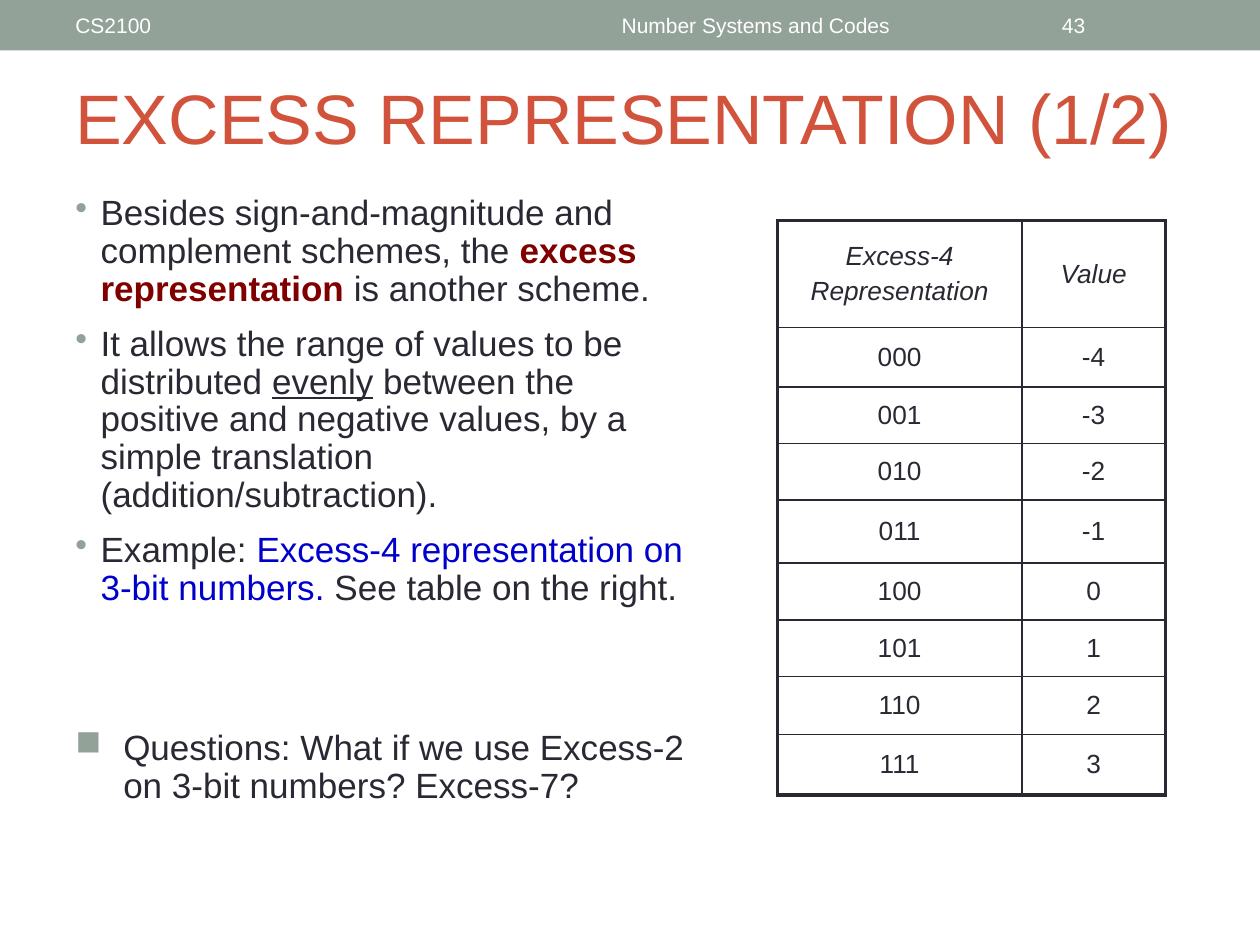
import pptx
import pptx.util
import pptx.dml.color
import pptx.enum.shapes
import pptx.enum.text
import pptx.oxml
import pptx.oxml.ns

Inches = pptx.util.Inches
Pt = pptx.util.Pt
RGBColor = pptx.dml.color.RGBColor
MIDDLE = pptx.enum.text.MSO_ANCHOR.MIDDLE
TOP = pptx.enum.text.MSO_ANCHOR.TOP
LEFT = pptx.enum.text.PP_ALIGN.LEFT
CENTER = pptx.enum.text.PP_ALIGN.CENTER

SAGE = RGBColor(0x93, 0xA2, 0x99)
WHITE = RGBColor(0xFF, 0xFF, 0xFF)
RUST = RGBColor(0xD2, 0x53, 0x3C)
INK = RGBColor(0x29, 0x29, 0x34)
MAROON = RGBColor(0x80, 0x00, 0x00)
BLUE = RGBColor(0x00, 0x00, 0xCC)


def add_span(para, text, size, color, bold=None, italic=None, underline=None):
    span = para.add_run()
    span.text = text
    span.font.name = "Arial"
    span.font.size = Pt(size)
    span.font.color.rgb = color
    span.font.bold = bold
    span.font.italic = italic
    span.font.underline = underline


def add_frame(page, left, top, width, height, anchor):
    box = page.shapes.add_textbox(Inches(left), Inches(top), Inches(width), Inches(height))
    box.text_frame.word_wrap = True
    box.text_frame.vertical_anchor = anchor
    return box.text_frame


deck = pptx.Presentation()
deck.slide_width = Inches(10)
deck.slide_height = Inches(7.5)
page = deck.slides.add_slide(deck.slide_layouts[6])

banner = page.shapes.add_shape(
    pptx.enum.shapes.MSO_SHAPE.RECTANGLE, 0, 0, Inches(10), Inches(0.4))
banner.shadow.inherit = False
banner.fill.solid()
banner.fill.fore_color.rgb = SAGE
banner.line.fill.background()

lines = [
    (0.5, 0.02, 3.17, 0.36, LEFT, "CS2100", 12, WHITE),
    (3.75, 0.02, 4.5, 0.36, CENTER, "Number Systems and Codes", 12, WHITE),
    (8.33, 0.02, 1.17, 0.36, LEFT, "43", 12, WHITE),
    (0.5, 0.3, 9, 1.25, LEFT, "EXCESS REPRESENTATION (1/2)", 40, RUST),
]
for left, top, width, height, align, text, size, color in lines:
    para = add_frame(page, left, top, width, height, MIDDLE).paragraphs[0]
    para.alignment = align
    add_span(para, text, size, color)

points = [
    [("Besides sign-and-magnitude and complement schemes, the ", INK, None, None),
     ("excess representation", MAROON, True, None),
     (" is another scheme.", INK, None, None)],
    [("It allows the range of values to be distributed ", INK, None, None),
     ("evenly", INK, None, True),
     (" between the positive and negative values, by a simple translation "
      "(addition/subtraction).", INK, None, None)],
    [("Example: ", INK, None, None),
     ("Excess-4 representation on 3-bit numbers. ", BLUE, None, None),
     ("See table on the right.", INK, None, None)],
]
question = [[("Questions: What if we use Excess-2 on 3-bit numbers? Excess-7?",
              INK, None, None)]]
lists = [(1.5, 4.17, "•", 0.2, points), (5.75, 0.81, "■", 0.38, question)]
for top, height, bullet, indent, items in lists:
    frame = add_frame(page, 0.5, top, 5.08, height, TOP)
    for index, item in enumerate(items):
        para = frame.add_paragraph() if index else frame.paragraphs[0]
        para.line_spacing = 0.9
        if index:
            para.space_before = Pt(10)
        props = para._p.get_or_add_pPr()
        props.set("marL", str(Inches(indent)))
        props.set("indent", str(-Inches(indent)))
        color = pptx.oxml.parse_xml(
            f'<a:buClr {pptx.oxml.ns.nsdecls("a")}><a:srgbClr val="{SAGE}"/></a:buClr>')
        mark = pptx.oxml.parse_xml(
            f'<a:buChar {pptx.oxml.ns.nsdecls("a")} char="{bullet}"/>')
        props.extend([color, mark])
        for text, ink, bold, underline in item:
            add_span(para, text, 20, ink, bold=bold, underline=underline)

rows = [(["Excess-4", "Representation"], ["Value"])]
rows += [([f"{code:03b}"], [str(code - 4)]) for code in range(8)]
row_heights = [0.85, 0.47, 0.45, 0.45, 0.5, 0.45, 0.45, 0.46, 0.48]
column_widths = [1.94, 1.14]
table = page.shapes.add_table(
    len(rows), 2, Inches(6.17), Inches(1.75),
    Inches(sum(column_widths)), Inches(sum(row_heights))).table
table.first_row = False
table.horz_banding = False
for column, width in zip(table.columns, column_widths):
    column.width = Inches(width)
for row_index, (row, height) in enumerate(zip(rows, row_heights)):
    table.rows[row_index].height = Inches(height)
    for column_index, texts in enumerate(row):
        cell = table.cell(row_index, column_index)
        cell.vertical_anchor = MIDDLE
        cell.margin_left = cell.margin_right = Inches(0.1)
        cell.margin_top = cell.margin_bottom = Inches(0.05)
        for index, text in enumerate(texts):
            para = cell.text_frame.add_paragraph() if index else cell.text_frame.paragraphs[0]
            para.alignment = CENTER
            if index:
                para.space_before = Pt(3)
            add_span(para, text, 15, INK, italic=row_index == 0)
        outer_sides = {
            "lnL": column_index == 0,
            "lnR": column_index == 1,
            "lnT": row_index == 0,
            "lnB": row_index == len(rows) - 1,
        }
        for side, outer in outer_sides.items():
            cell._tc.get_or_add_tcPr().append(pptx.oxml.parse_xml(
                f'<a:{side} {pptx.oxml.ns.nsdecls("a")} w="{Pt(2.25 if outer else 1)}">'
                f'<a:solidFill><a:srgbClr val="{INK}"/></a:solidFill></a:{side}>'))
        cell.fill.background()

deck.save("out.pptx")
